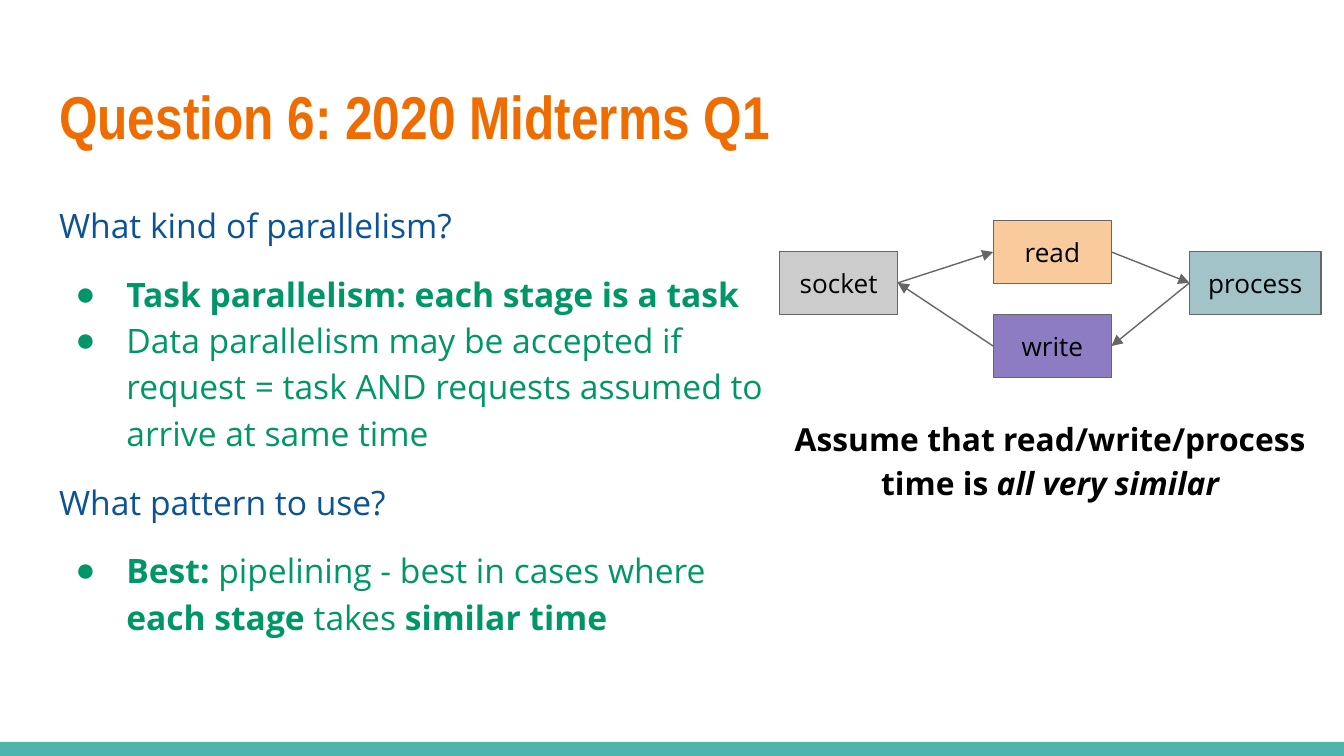
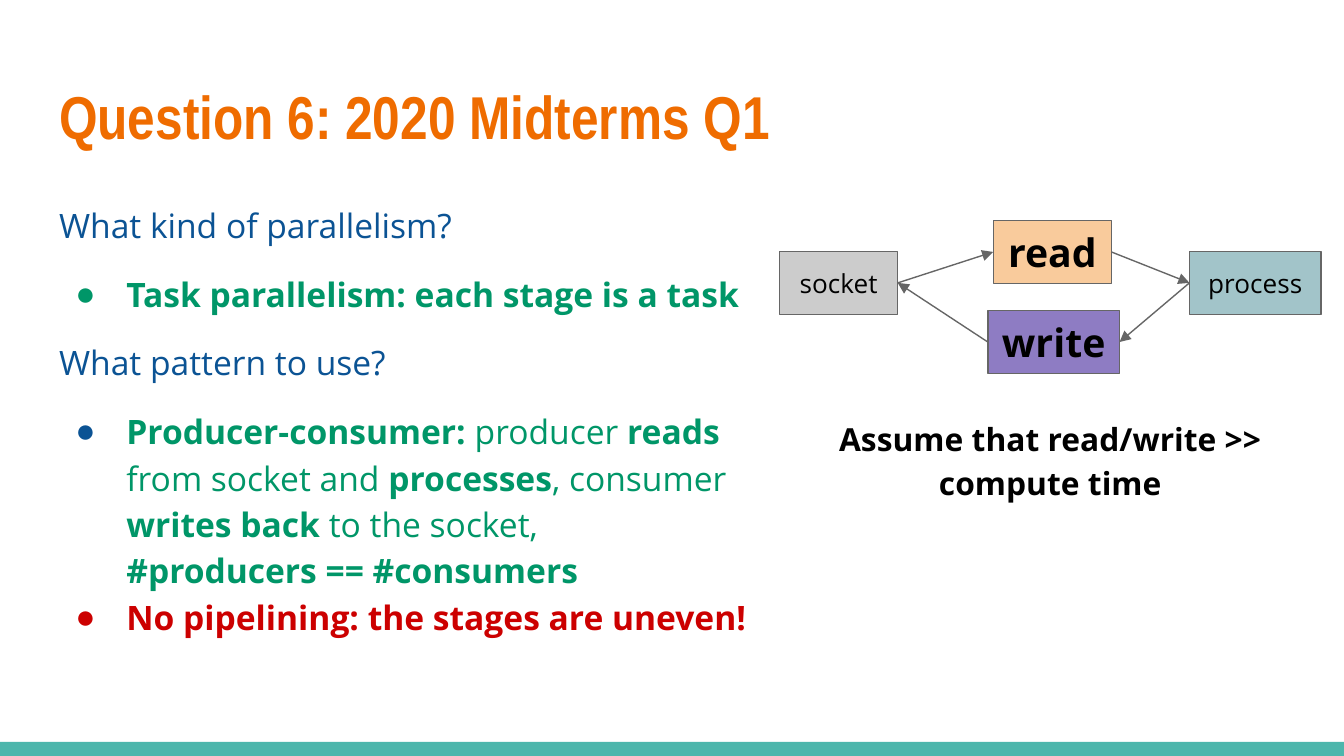
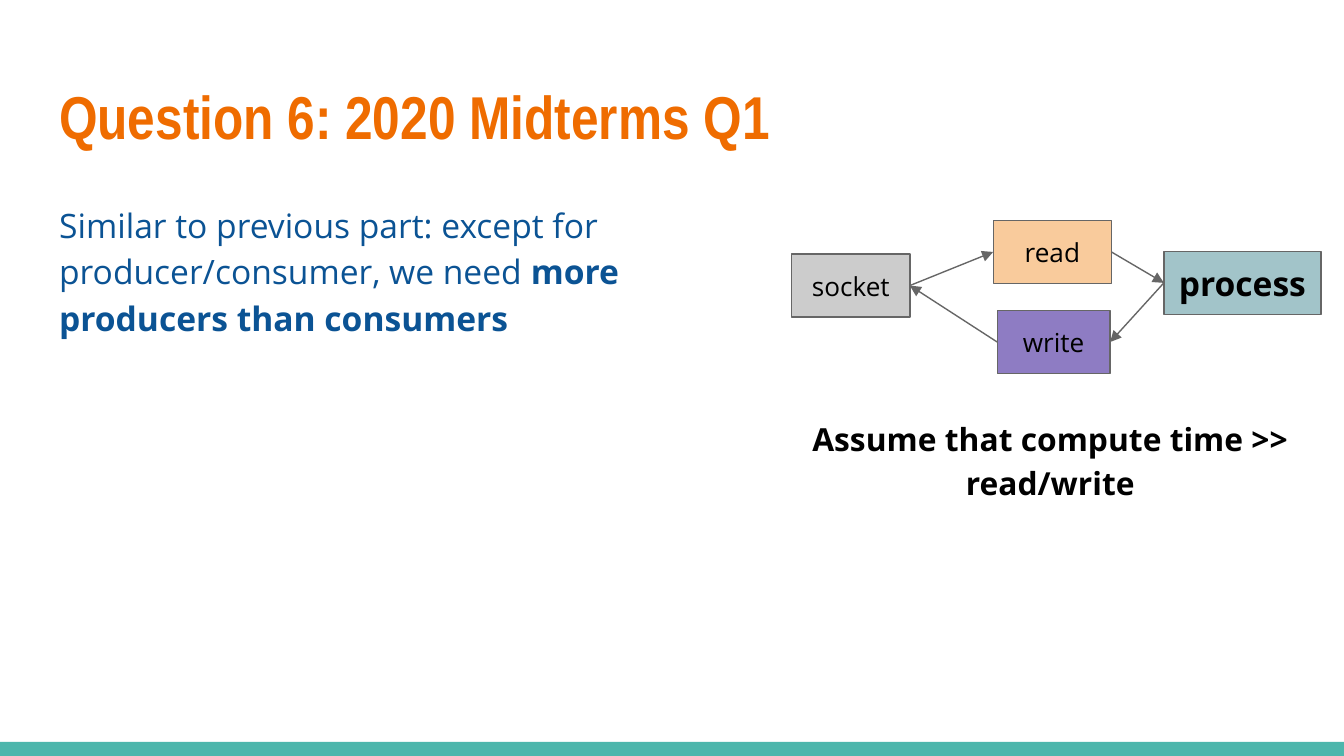
"""Builds three slides that answer a midterm question on parallel patterns."""
from dataclasses import dataclass, replace

from lxml.etree import SubElement
from pptx import Presentation
from pptx.dml.color import RGBColor
from pptx.enum.shapes import MSO_CONNECTOR as Connector, MSO_SHAPE as Shape
from pptx.enum.text import MSO_ANCHOR as Anchor, MSO_AUTO_SIZE as AutoSize, PP_ALIGN as Align
from pptx.oxml.ns import qn
from pptx.util import Inches, Pt


@dataclass(frozen=True)
class Theme:
    title_font: str = "Arial Narrow"
    text_font: str = "Open Sans"
    title: str = "EF6C00"
    question: str = "0B5394"
    answer: str = "009668"
    warning: str = "CC0000"
    ink: str = "000000"
    outline: str = "666666"
    band: str = "4DB6AC"
    socket: str = "CCCCCC"
    read: str = "F9CB9C"
    process: str = "A2C4C9"
    write: str = "8E7CC3"
    title_size: float = 32.4
    body_size: float = 18
    caption_size: float = 17
    stage_size: float = 14
    line_width: float = 0.75
    line_spacing: float = 1.15
    block_gap: float = 12


THEME = Theme()


@dataclass(frozen=True)
class Line:
    text: str
    color: str = THEME.question
    bullet: str = ""
    gap_after: float = 0


@dataclass(frozen=True)
class Stage:
    left: float
    top: float
    width: float = 0.88
    size: float = THEME.stage_size
    bold: bool = False


def answer(text, bullet=THEME.answer):
    return Line(text, THEME.answer, bullet)


class Deck:
    def __init__(self, theme):
        self.theme = theme
        self.prs = Presentation()
        self.prs.slide_width = Inches(10)
        self.prs.slide_height = Inches(10) * 9 // 16
        self.layout = self.prs.slide_layouts[1]
        self.slide = None

    def new_slide(self, title):
        self.slide = self.prs.slides.add_slide(self.layout)
        if len(self.prs.slides) == 1:
            self.footer_band()
        self.title(title)

    def footer_band(self):
        band = self.box(0, 5.52, 10, 0.11, self.theme.band)
        band.line.fill.background()
        self.layout.shapes.element.insert(2, band.element)

    def box(self, left, top, width, height, fill):
        box = self.slide.shapes.add_shape(
            Shape.RECTANGLE, Inches(left), Inches(top), Inches(width), Inches(height))
        box.shadow.inherit = False
        box.fill.solid()
        box.fill.fore_color.rgb = RGBColor.from_string(fill)
        return box

    def place(self, holder, left, top, width, height):
        holder.left, holder.top = Inches(left), Inches(top)
        holder.width, holder.height = Inches(width), Inches(height)

    def frame(self, holder, anchor=Anchor.TOP, auto_size=AutoSize.NONE):
        frame = holder.text_frame
        frame.word_wrap = True
        frame.auto_size = auto_size
        frame.vertical_anchor = anchor
        frame.margin_left = frame.margin_right = Inches(0.1)
        frame.margin_top = frame.margin_bottom = Inches(0.1)
        return frame

    def style(self, paragraph, size, color, bold=False, family=None, align=Align.LEFT):
        paragraph.alignment = align
        font = paragraph.font
        font.name = family or self.theme.text_font
        font.size = Pt(size)
        font.bold = bold
        font.color.rgb = RGBColor.from_string(color)

    def title(self, text):
        heading = self.slide.shapes.title
        self.place(heading, 0.34, 0.49, 9.32, 0.77)
        paragraph = self.frame(heading).paragraphs[0]
        paragraph.text = text
        self.style(paragraph, self.theme.title_size, self.theme.title, True,
                   self.theme.title_font)

    def body(self, lines):
        body = self.slide.placeholders[1]
        self.place(body, 0.34, 1.38, 5.46, 3.61)
        frame = self.frame(body)
        previous = None
        for line in lines:
            paragraph = frame.add_paragraph() if previous else frame.paragraphs[0]
            same_list = previous and previous.bullet and line.bullet
            gap = self.theme.block_gap if previous and not same_list else 0
            paragraph.line_spacing = self.theme.line_spacing
            paragraph.space_before = Pt(gap)
            paragraph.space_after = Pt(line.gap_after)
            self.bullet(paragraph, line.bullet)
            self.marked_text(paragraph, line)
            previous = line

    def bullet(self, paragraph, color):
        props = paragraph._p.get_or_add_pPr()
        props.set("marL", str(Inches(0.5 if color else 0)))
        props.set("indent", str(Inches(-0.38 if color else 0)))
        if color:
            SubElement(SubElement(props, qn("a:buClr")), qn("a:srgbClr"), val=color)
            SubElement(props, qn("a:buChar"), char="●")
        else:
            SubElement(props, qn("a:buNone"))

    def marked_text(self, paragraph, line):
        pieces = [(text, index % 2 == 1)
                  for index, text in enumerate(line.text.split("**")) if text]
        all_bold = all(bold for _, bold in pieces)
        for text, bold in pieces:
            run = paragraph.add_run()
            run.text = text.rstrip("\n")
            if bold and not all_bold:
                run.font.bold = True
            if text.endswith("\n"):
                paragraph.add_line_break()
        self.style(paragraph, self.theme.body_size, line.color, all_bold)

    def caption(self, text, emphasis=""):
        caption = self.slide.shapes.add_textbox(
            Inches(5.63), Inches(2.98), Inches(4.37), Inches(0.82))
        paragraph = self.frame(caption, auto_size=AutoSize.SHAPE_TO_FIT_TEXT).paragraphs[0]
        paragraph.line_spacing = self.theme.line_spacing
        paragraph.add_run().text = text
        if emphasis:
            run = paragraph.add_run()
            run.text = emphasis
            run.font.italic = True
        self.style(paragraph, self.theme.caption_size, self.theme.ink, True,
                   align=Align.CENTER)

    def stage(self, name, stage):
        box = self.box(stage.left, stage.top, stage.width, 0.47, getattr(self.theme, name))
        self.outline(box)
        paragraph = self.frame(box, Anchor.MIDDLE).paragraphs[0]
        paragraph.text = name
        self.style(paragraph, stage.size, self.theme.ink, stage.bold, align=Align.CENTER)
        return box

    def outline(self, shape):
        shape.line.color.rgb = RGBColor.from_string(self.theme.outline)
        shape.line.width = Pt(self.theme.line_width)

    def arrow(self, source, target):
        left, right = 1, 3
        forward = source.left < target.left
        arrow = self.slide.shapes.add_connector(Connector.STRAIGHT, 0, 0, 0, 0)
        arrow.begin_connect(source, right if forward else left)
        arrow.end_connect(target, left if forward else right)
        self.outline(arrow)
        SubElement(arrow.line._get_or_add_ln(), qn("a:tailEnd"), type="triangle")
        SubElement(arrow._element.spPr, qn("a:effectLst"))

    def request_cycle(self, stages):
        boxes = [self.stage(name, stage) for name, stage in stages.items()]
        for source, target in zip(boxes, boxes[1:] + boxes[:1]):
            self.arrow(source, target)


TITLE = "Question 6: 2020 Midterms Q1"
KIND = Line("What kind of parallelism?")
PATTERN = Line("What pattern to use?")
TASK = answer("**Task parallelism: each stage is a task**")
EVEN = {
    "socket": Stage(5.8, 1.87),
    "read": Stage(7.39, 1.64),
    "process": Stage(8.85, 1.87, 0.98),
    "write": Stage(7.39, 2.34),
}
SLOW_IO = EVEN | {
    "read": replace(EVEN["read"], size=21, bold=True),
    "write": Stage(7.35, 2.31, 0.98, 21, True),
}
SLOW_COMPUTE = EVEN | {
    "socket": Stage(5.89, 1.89),
    "process": Stage(8.66, 1.87, 1.17, 18, True),
    "write": Stage(7.42, 2.31, 0.84),
}


def main():
    deck = Deck(THEME)

    deck.new_slide(TITLE)
    deck.body([
        KIND,
        TASK,
        answer("Data parallelism may be accepted if request = task AND requests "
               "assumed to arrive at same time"),
        PATTERN,
        answer("**Best:** pipelining - best in cases where **each stage** takes "
               "**similar time**"),
    ])
    deck.caption("Assume that read/write/process time is ", "all very similar")
    deck.request_cycle(EVEN)

    deck.new_slide(TITLE)
    deck.body([
        KIND,
        TASK,
        PATTERN,
        answer("**Producer-consumer: **producer **reads** from socket and **processes**, "
               "consumer **writes back** to the socket,\n**#producers == #consumers**",
               THEME.question),
        Line("**No pipelining: the stages are uneven!**", THEME.warning, THEME.warning),
    ])
    deck.caption("Assume that read/write >> compute time")
    deck.request_cycle(SLOW_IO)

    deck.new_slide(TITLE)
    deck.body([Line("Similar to previous part: except for producer/consumer, we need "
                    "**more producers than consumers**", gap_after=THEME.block_gap)])
    deck.caption("Assume that compute time >> read/write")
    deck.request_cycle(SLOW_COMPUTE)

    deck.prs.save("out.pptx")


if __name__ == "__main__":
    main()
